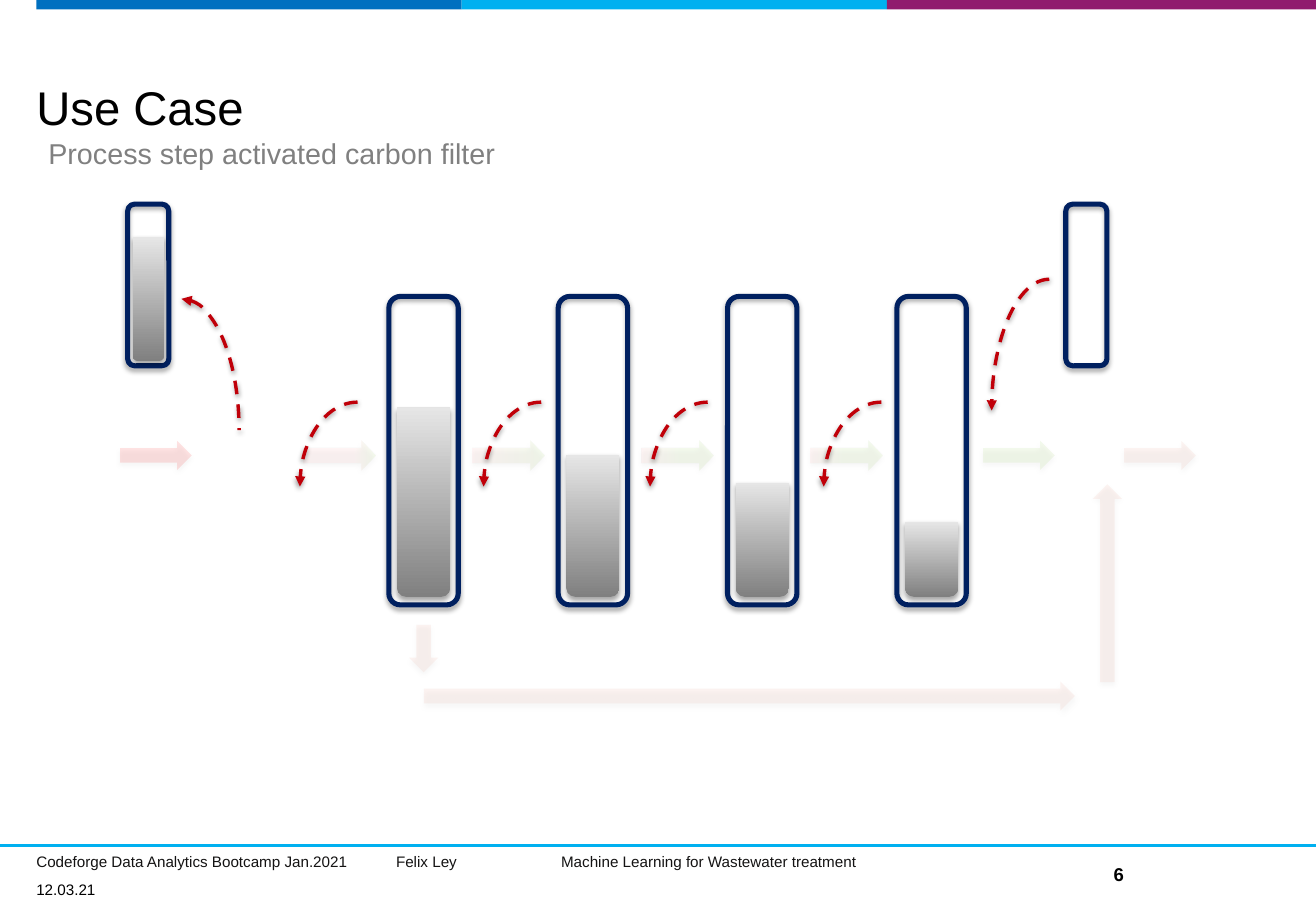
from dataclasses import dataclass

from lxml import etree
from pptx import Presentation
from pptx.dml.color import RGBColor
from pptx.enum.dml import MSO_LINE
from pptx.enum.shapes import MSO_CONNECTOR, MSO_SHAPE
from pptx.enum.text import MSO_ANCHOR, MSO_AUTO_SIZE, PP_ALIGN
from pptx.oxml.ns import qn
from pptx.util import Cm, Pt

RECTANGLE = MSO_SHAPE.RECTANGLE
ROUNDED = MSO_SHAPE.ROUNDED_RECTANGLE
ROUND_TOP = MSO_SHAPE.ROUND_2_SAME_RECTANGLE
RIGHT_ARROW = MSO_SHAPE.RIGHT_ARROW
ARC = MSO_SHAPE.ARC
STRAIGHT = MSO_CONNECTOR.STRAIGHT
DASH = MSO_LINE.DASH
TOP, MIDDLE, BOTTOM = MSO_ANCHOR.TOP, MSO_ANCHOR.MIDDLE, MSO_ANCHOR.BOTTOM
LEFT, CENTER = PP_ALIGN.LEFT, PP_ALIGN.CENTER
NO_AUTOFIT = MSO_AUTO_SIZE.NONE
TITLE_ONLY = 5


@dataclass(frozen=True)
class Theme:
    font: str = "Arial"
    black: str = "000000"
    footer: str = "141313"
    subtitle: str = "808080"
    bars: tuple = ("0070C0", "00B0F0", "901B6E")
    rule: str = "00B0F0"
    vessel: str = "002060"
    carbon: tuple = ("808080", "E6E6E6")
    inflow: str = "FF0000"
    polluted: str = "FFA0A0"
    clean: str = "92D050"
    bypass: str = "ED9682"
    move: str = "C00009"
    title_size: int = 28
    subtitle_size: int = 17
    number_size: int = 11
    footer_size: int = 9


THEME = Theme()


def place(shape, left, top, width, height):
    shape.left, shape.top = Cm(left), Cm(top)
    shape.width, shape.height = Cm(width), Cm(height)


def write_text(shape, text, size=THEME.footer_size, color=THEME.black, bold=False,
               align=LEFT, anchor=TOP, spacing=None, insets=(0, 0, 0, 0)):
    frame = shape.text_frame
    frame.word_wrap = True
    frame.auto_size = NO_AUTOFIT
    frame.vertical_anchor = anchor
    (frame.margin_left, frame.margin_top,
     frame.margin_right, frame.margin_bottom) = map(Cm, insets)
    paragraph = frame.paragraphs[0]
    paragraph.text = text
    paragraph.alignment = align
    paragraph.space_before = Pt(0)
    paragraph.line_spacing = spacing
    font = paragraph.font
    font.name, font.size, font.bold = THEME.font, Pt(size), bold
    font.color.rgb = RGBColor.from_string(color)


def add_text(slide, text, box, **text_format):
    write_text(slide.shapes.add_textbox(*map(Cm, box)), text, **text_format)


def add_color(parent, color, opacity):
    element = etree.SubElement(parent, qn("a:srgbClr"), val=color)
    if opacity < 100:
        etree.SubElement(element, qn("a:alpha"), val=str(opacity * 1000))


def add_shape(slide, kind, box, rotation=0):
    shape = slide.shapes.add_shape(kind, *map(Cm, box))
    shape.rotation = rotation
    shape.shadow.inherit = False
    shape.fill.background()
    shape.line.fill.background()
    return shape


def set_fill(shape, *stops, opacity=100, angle=0):
    """Fill with one colour, or with (position, colour) gradient stops."""
    properties = shape.fill._xPr
    old_fill = properties.find(qn("a:noFill"))
    if len(stops) == 1:
        fill = etree.Element(qn("a:solidFill"))
        add_color(fill, stops[0], opacity)
    else:
        fill = etree.Element(qn("a:gradFill"), rotWithShape="1")
        stop_list = etree.SubElement(fill, qn("a:gsLst"))
        for position, color in stops:
            stop = etree.SubElement(stop_list, qn("a:gs"), pos=str(position * 1000))
            add_color(stop, color, opacity)
        etree.SubElement(fill, qn("a:lin"), ang=str(angle * 60000), scaled="0")
    properties.replace(old_fill, fill)


def set_line(shape, color, width):
    shape.line.color.rgb = RGBColor.from_string(color)
    shape.line.width = Pt(width)


def add_shadow(shape, opacity=35, distance=1.8):
    effects = shape._element.spPr.find(qn("a:effectLst"))
    shadow = etree.SubElement(
        effects, qn("a:outerShdw"), blurRad=str(Pt(3.1)), dist=str(Pt(distance)),
        dir="5400000", rotWithShape="0")
    add_color(shadow, THEME.black, opacity)


def add_vessel(slide, box, inset=0, carbon_height=0):
    vessel = add_shape(slide, ROUNDED, box)
    set_line(vessel, THEME.vessel, 3)
    add_shadow(vessel)
    if carbon_height:
        left, top, width, height = box
        carbon_top = top + height - inset - carbon_height
        carbon = add_shape(slide, ROUND_TOP, (left + inset, carbon_top,
                                              width - 2 * inset, carbon_height), 180)
        dark, light = THEME.carbon
        set_fill(carbon, (0, dark), (100, light), angle=90)
        add_shadow(carbon)


def add_flow(slide, left, *stops, top=9.22, length=1.5, rotation=0, opacity=10):
    arrow = add_shape(slide, RIGHT_ARROW, (left, top, length, 0.61), rotation)
    set_fill(arrow, *stops, opacity=opacity)
    add_shadow(arrow)


def add_move(slide, left, top, height, to_left=True):
    """Dashed quarter arc: down to the left, or up from the right."""
    arc = add_shape(slide, ARC, (left, top, 2.41, height))
    set_line(arc, THEME.move, 2)
    arc.line.dash_style = DASH
    arrow_end = "a:tailEnd" if to_left else "a:headEnd"
    etree.SubElement(arc.line._get_or_add_ln(), qn(arrow_end), type="triangle")
    if to_left:
        arc._element.spPr.xfrm.set("flipH", "1")
    add_shadow(arc, opacity=38, distance=1.6)


def add_frame(slide):
    # Colour bars along the top edge
    for index, color in enumerate(THEME.bars):
        bar = add_shape(slide, RECTANGLE, (0.76 + 8.89 * index, 0, 8.89 + 0.08 * (index == 2), 0.2))
        set_fill(bar, color)
    # Footer
    rule = slide.shapes.add_connector(STRAIGHT, 0, Cm(17.68), Cm(27.51), Cm(17.68))
    set_line(rule, THEME.rule, 1.25)
    etree.SubElement(rule._element.spPr, qn("a:effectLst"))
    for text, left, width in (("Codeforge Data Analytics Bootcamp Jan.2021", 0.76, 6.9),
                              ("Felix Ley", 8.28, 3),
                              ("Machine Learning for Wastewater treatment", 11.73, 6.8)):
        add_text(slide, text, (left, 17.78, width, 0.5), color=THEME.footer, spacing=Pt(11.8))
    add_text(slide, "12.03.21", (0.76, 18.39, 2.92, 0.41), anchor=MIDDLE)
    add_text(slide, "6", (22.73, 18.03, 1.32, 0.48), size=THEME.number_size,
             bold=True, align=CENTER, anchor=MIDDLE)


def add_headings(slide):
    title = slide.shapes.title
    place(title, 0.76, 1.52, 26.01, 1.3)
    write_text(title, "Use Case", size=THEME.title_size, anchor=BOTTOM,
               spacing=Pt(28), insets=(0, 0.1, 0, 0))
    add_text(slide, "Process step activated carbon filter", (0.76, 2.84, 26.01, 0.89),
             size=THEME.subtitle_size, color=THEME.subtitle, spacing=0.8,
             insets=(0.25, 0.13, 0.25, 0.13))


def add_process(slide):
    # Filter columns, with the spent one on the left and the fresh one on the right
    for index, carbon_height in enumerate((3.96, 2.97, 2.39, 1.57)):
        add_vessel(slide, (8.13 + 3.54 * index, 6.2, 1.45, 6.45), 0.17, carbon_height)
    add_vessel(slide, (2.67, 4.27, 0.86, 3.38), 0.1, 2.59)
    add_vessel(slide, (22.28, 4.27, 0.86, 3.38))
    # Water flow, cleaner after each column
    add_flow(slide, 2.51, THEME.inflow, opacity=11)
    for index, (start, end) in enumerate(((70, 98), (0, 98), (0, 54), (0, 46))):
        add_flow(slide, 6.35 + 3.53 * index, (start, THEME.polluted), (end, THEME.clean))
    add_flow(slide, 20.55, THEME.clean)
    add_flow(slide, 23.5, THEME.bypass)
    # Bypass below the columns
    add_flow(slide, 8.36, THEME.bypass, top=13.26, length=0.99, rotation=90)
    add_flow(slide, 8.86, THEME.bypass, top=14.25, length=13.61)
    add_flow(slide, 21.08, THEME.bypass, top=11.89, length=4.14, rotation=270)
    # Carbon moves
    add_move(slide, 2.59, 6.25, 5.49, to_left=False)
    for left in (6.27, 10.11, 13.59, 17.22):
        add_move(slide, left, 8.41, 3.53)
    add_move(slide, 20.73, 5.84, 5.49)


def main():
    presentation = Presentation()
    presentation.slide_width, presentation.slide_height = Cm(27.51), Cm(19.05)
    slide = presentation.slides.add_slide(presentation.slide_layouts[TITLE_ONLY])
    add_frame(slide)
    add_headings(slide)
    add_process(slide)
    presentation.save("out.pptx")


if __name__ == "__main__":
    main()
